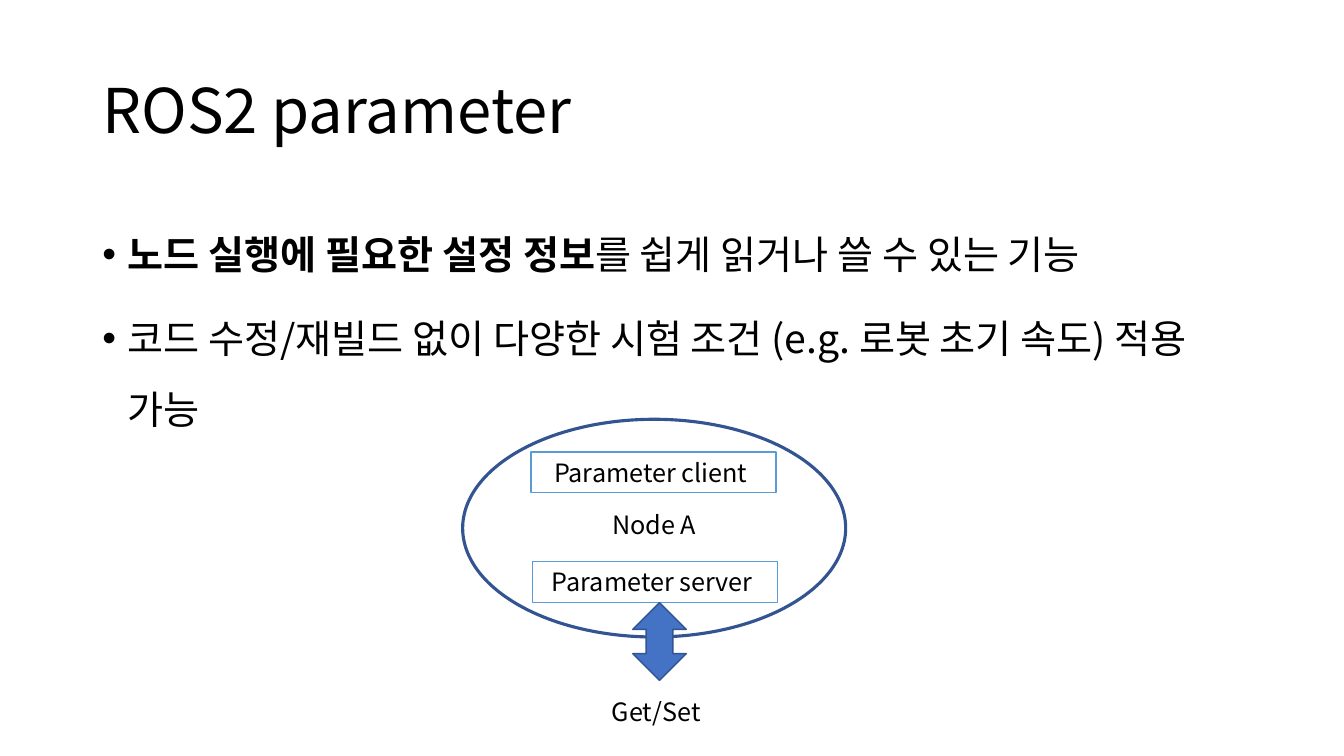
"""Build the ROS2 parameter slide with bullets and a node diagram."""
from lxml import etree
from pptx import Presentation
from pptx.dml.color import RGBColor
from pptx.enum.shapes import MSO_SHAPE
from pptx.enum.text import MSO_ANCHOR, PP_ALIGN
from pptx.oxml.ns import qn
from pptx.util import Pt

ELLIPSE, RECT, ARROW = MSO_SHAPE.OVAL, MSO_SHAPE.RECTANGLE, MSO_SHAPE.UP_DOWN_ARROW
MIDDLE, TOP = MSO_ANCHOR.MIDDLE, MSO_ANCHOR.TOP
LEFT, CENTER = PP_ALIGN.LEFT, PP_ALIGN.CENTER
BLACK = RGBColor(0x00, 0x00, 0x00)
WHITE = RGBColor(0xFF, 0xFF, 0xFF)
NAVY = RGBColor(0x32, 0x54, 0x91)
BLUE = RGBColor(0x44, 0x72, 0xC4)
SKY = RGBColor(0x5B, 0x9B, 0xD5)
FONT = "Noto Sans CJK KR"


def style(p, size, align=LEFT):
    p.alignment = align
    p.font.size = Pt(size)
    p.font.color.rgb = BLACK
    p.font.name = FONT
    etree.SubElement(p.font._element, qn("a:ea"), typeface=FONT)


def add_box(kind, box, fill=None, line=None, width=1):
    box = [Pt(v) for v in box]
    if kind is None:
        sp = s.shapes.add_textbox(*box)
    else:
        sp = s.shapes.add_shape(kind, *box)
        sp.shadow.inherit = False
        sp.line.color.rgb = line
        sp.line.width = Pt(width)
        if fill is None:
            sp.fill.background()
        else:
            sp.fill.solid()
            sp.fill.fore_color.rgb = fill
    sp.text_frame.word_wrap = True
    sp.text_frame.vertical_anchor = TOP
    return sp


prs = Presentation()
prs.slide_width, prs.slide_height = Pt(960), Pt(540)
s = prs.slides.add_slide(prs.slide_layouts[6])

tf = add_box(None, (66, 144, 828, 342.6)).text_frame
bullets = [
    [("노드 실행에 필요한 설정 정보", True), ("를 쉽게 읽거나 쓸 수 있는 기능", False)],
    [("코드 수정/재빌드 없이 다양한 시험 조건 (e.g. 로봇 초기 속도) 적용 가능", False)],
]
for i, runs in enumerate(bullets):
    p = tf.add_paragraph() if i else tf.paragraphs[0]
    p.line_spacing = 1.5
    p.space_before = Pt(10)
    style(p, 28)
    pPr = p.font._element.getparent()
    pPr.set("marL", str(Pt(18)))
    pPr.set("indent", str(-Pt(18)))
    bullet_font = etree.Element(qn("a:buFont"), typeface="Arial")
    bullet = etree.Element(qn("a:buChar"), char="•")
    for mark in (bullet_font, bullet):
        p.font._element.addprevious(mark)
    for text, bold in runs:
        r = p.add_run()
        r.text = text
        r.font.bold = bold

tf = add_box(None, (66, 28.75, 828, 104.4)).text_frame
tf.vertical_anchor = MIDDLE
p = tf.paragraphs[0]
p.text = "ROS2 parameter"
p.line_spacing = 0.9
style(p, 44)

add_box(ELLIPSE, (330.5, 299.5, 273.6, 155.5), line=NAVY, width=2.25)

labels = [
    ("Node A", None, (359.3, 360, 216, 29.1)),
    ("Parameter server\u00a0", RECT, (380.4, 401.2, 175, 29.1)),
    ("Parameter client ", RECT, (379.4, 322.8, 175, 29.1)),
    ("Get/Set", None, (360.7, 494, 216, 29.1)),
]
for text, kind, box in labels:
    p = add_box(kind, box, WHITE, SKY).text_frame.paragraphs[0]
    p.text = text
    style(p, 18, CENTER)

add_box(ARROW, (452, 430.5, 38.2, 55.5), BLUE, NAVY)

prs.save("out.pptx")
